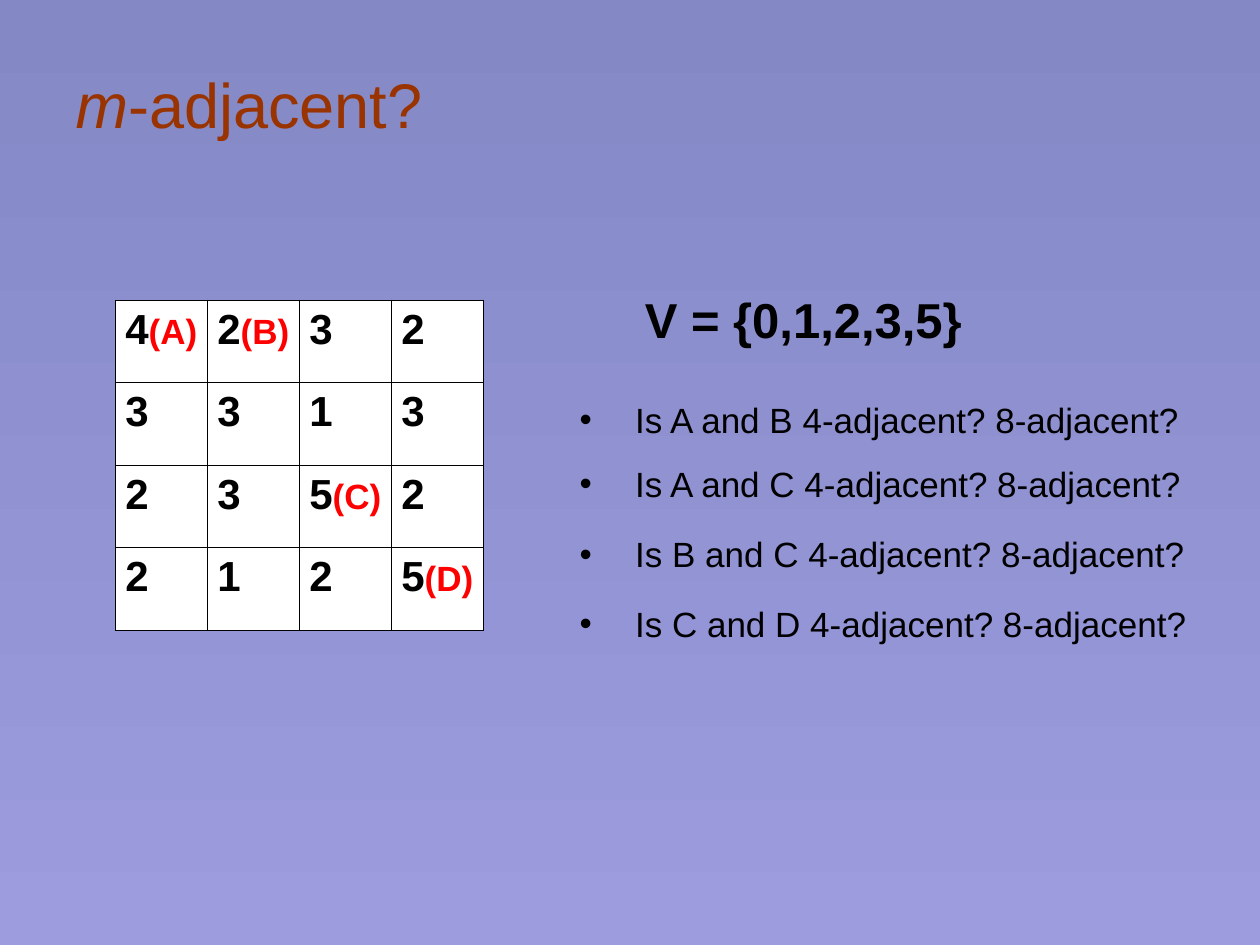
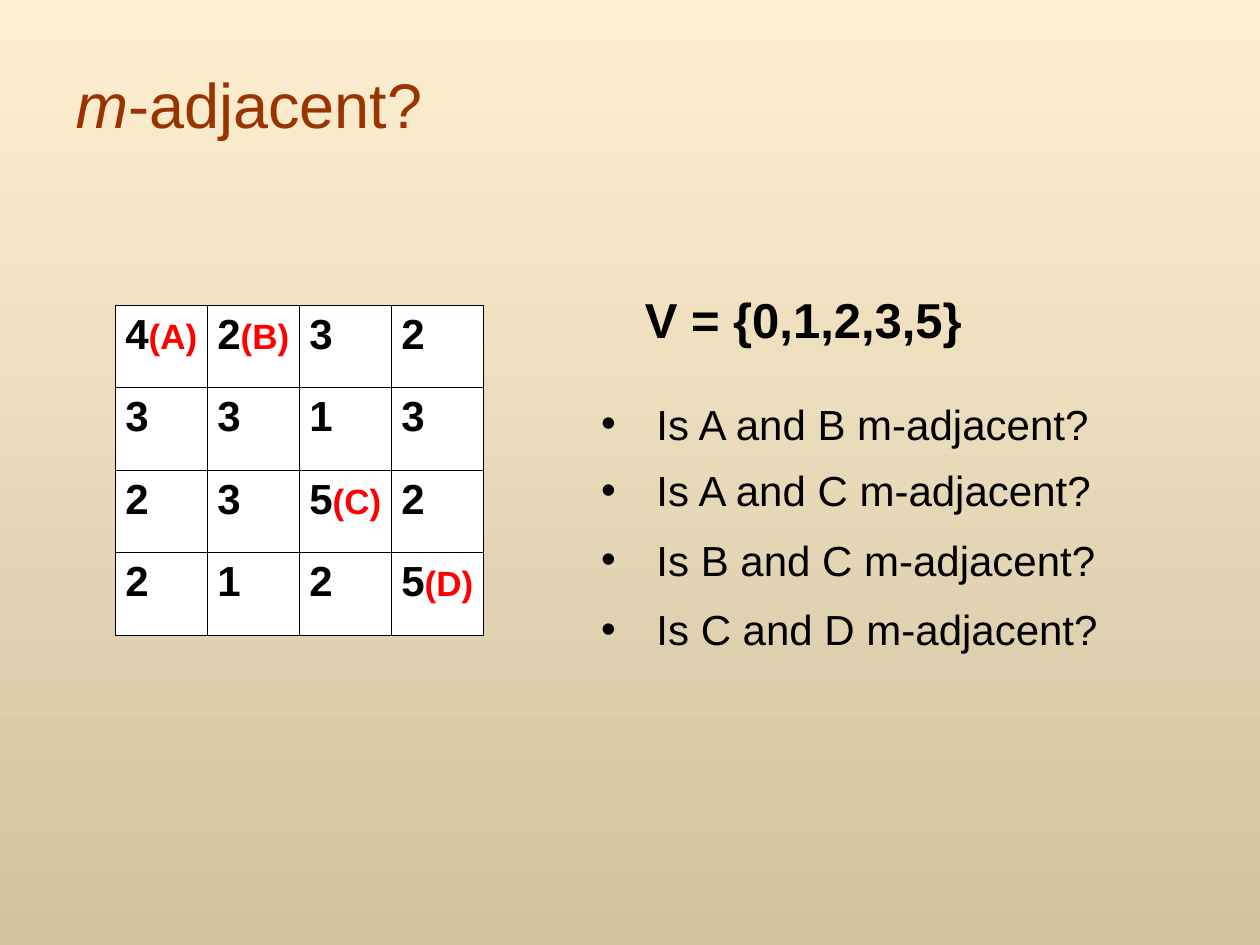
import pptx
import pptx.util
import pptx.dml.color
import pptx.enum.text
import lxml.etree
import pptx.oxml.ns

deck = pptx.Presentation()
deck.slide_width = pptx.util.Inches(10)
deck.slide_height = pptx.util.Inches(7.5)

# Grid of 100 columns and 75 rows
col = deck.slide_width / 100
row = deck.slide_height / 75
Pt = pptx.util.Pt
qn = pptx.oxml.ns.qn
text = pptx.enum.text

# Shared look
face = "Arial"
black, white, red, rust = "000000", "FFFFFF", "FF0000", "993300"
pixels = [
    ["4(A)", "2(B)", "3", "2"],
    ["3", "3", "1", "3"],
    ["2", "3", "5(C)", "2"],
    ["2", "1", "2", "5(D)"],
]
pairs = ["A and B", "A and C", "B and C", "C and D"]

# Background, table top, list left, list size, list steps in rows, question
pages = [
    (("8488C4", "9C9CDF"), 23.8, 45, 20, (0, 5.1, 5.6, 5.5),
     "4-adjacent? 8-adjacent?"),
    (("FFEFD1", "D1C39F"), 24.2, 46.7, 24, (0, 5.3, 5.5, 5.5),
     "m-adjacent?"),
]


def rgb(code):
    return pptx.dml.color.RGBColor.from_string(code)


def place(shape, left, top, width, height):
    shape.left, shape.top = round(left * col), round(top * row)
    shape.width, shape.height = round(width * col), round(height * row)


for shades, top, left, size, steps, ask in pages:
    page = deck.slides.add_slide(deck.slide_layouts[1])
    title, body = page.placeholders

    # Background fades from top to bottom
    back = page.background.fill
    back.gradient()
    back.gradient_angle = 270
    for stop, shade in zip(back.gradient_stops, shades):
        stop.color.rgb = rgb(shade)

    # Title
    place(title, 5, 4.7, 90, 7)
    title.text_frame.auto_size = text.MSO_AUTO_SIZE.NONE
    title.text_frame.vertical_anchor = text.MSO_ANCHOR.MIDDLE
    para = title.text_frame.paragraphs[0]
    para.alignment = text.PP_ALIGN.LEFT
    para.font.name, para.font.size = face, Pt(36)
    para.font.color.rgb = rgb(rust)
    for words, slant in (("m", True), ("-adjacent?", False)):
        run = para.add_run()
        run.text = words
        run.font.italic = slant

    # Table of pixel values, with a slim right margin to fit the labels
    frame = page.shapes.add_table(
        4, 4, round(9.15 * col), round(top * row),
        round(29.2 * col), round(26.2 * row))
    table = frame.table
    table.first_row = table.horz_banding = False
    for cell, words in zip(table.iter_cells(), sum(pixels, [])):
        cell.margin_left = pptx.util.Inches(0.08)
        cell.margin_right = pptx.util.Inches(0.02)
        props = cell._tc.get_or_add_tcPr()
        for side in ("a:lnL", "a:lnR", "a:lnT", "a:lnB"):
            edge = lxml.etree.SubElement(props, qn(side), w=str(Pt(0.45)))
            fill = lxml.etree.SubElement(edge, qn("a:solidFill"))
            lxml.etree.SubElement(fill, qn("a:srgbClr"), val=black)
        cell.fill.solid()
        cell.fill.fore_color.rgb = rgb(white)
        para = cell.text_frame.paragraphs[0]
        para.font.name, para.font.bold = face, True
        for part, points, shade in ((words[:1], 24, black),
                                    (words[1:], 20, red)):
            if part:
                run = para.add_run()
                run.text = part
                run.font.size = Pt(points)
                run.font.color.rgb = rgb(shade)

    # Set of allowed values
    label = page.shapes.add_textbox(0, 0, 0, 0)
    place(label, 50.2, 22.5, 29, 5.7)
    label.text_frame.word_wrap = True
    para = label.text_frame.paragraphs[0]
    para.text = "V = {0,1,2,3,5}"
    para.font.name, para.font.size, para.font.bold = face, Pt(28), True
    para.font.color.rgb = rgb(black)

    # List of questions
    place(body, left, 31.1, 50.3, 21.3)
    body.text_frame.auto_size = text.MSO_AUTO_SIZE.NONE
    body.text_frame.text = "\n".join(f"Is {pair} {ask}" for pair in pairs)
    for para, step in zip(body.text_frame.paragraphs, steps):
        props = para._p.get_or_add_pPr()
        props.set("marL", str(pptx.util.Inches(0.44)))
        props.set("indent", str(-pptx.util.Inches(0.44)))
        tint = lxml.etree.SubElement(props, qn("a:buClr"))
        lxml.etree.SubElement(tint, qn("a:srgbClr"), val=black)
        lxml.etree.SubElement(props, qn("a:buFont"), typeface=face)
        lxml.etree.SubElement(props, qn("a:buChar"), char="•")
        # The gap is the step less the height of one line
        gap = step * row / Pt(1) - 1.2 * size
        para.space_before = Pt(max(0, gap))
        para.font.name, para.font.size = face, Pt(size)
        para.font.color.rgb = rgb(black)

deck.save("out.pptx")
